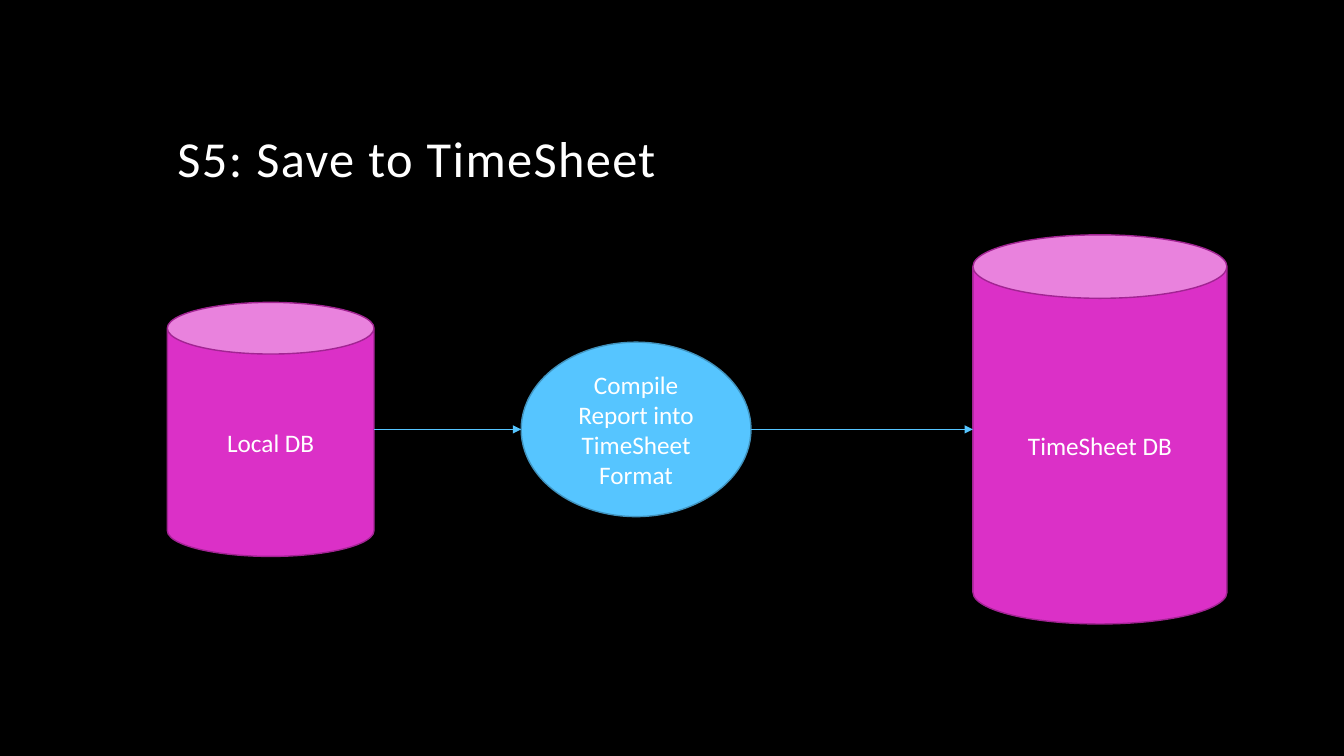
from dataclasses import dataclass
from itertools import pairwise

from pptx import Presentation
from pptx.dml.color import RGBColor
from pptx.enum.shapes import MSO_CONNECTOR, MSO_SHAPE
from pptx.enum.text import MSO_ANCHOR, MSO_AUTO_SIZE, PP_ALIGN
from pptx.oxml.ns import qn
from pptx.shapes.autoshape import Shape
from pptx.slide import Slide
from pptx.text.text import Font
from pptx.util import Inches, Pt
from lxml.etree import SubElement

BLACK = RGBColor(0x00, 0x00, 0x00)
WHITE = RGBColor(0xFF, 0xFF, 0xFF)
MAGENTA = RGBColor(0xDB, 0x30, 0xC7)
DARK_MAGENTA = RGBColor(0xA2, 0x24, 0x93)
SKY = RGBColor(0x56, 0xC5, 0xFF)
DARK_SKY = RGBColor(0x40, 0x92, 0xBD)

FONT_NAME = "Calibri"
SLIDE_WIDTH = Inches(13.33)
SLIDE_HEIGHT = Inches(7.5)
MARGIN = 12.45  # percent of the slide's width
FLOW_AXIS = 56.8  # percent of the slide's height


@dataclass(frozen=True)
class Step:
    """A stage of the flow, centred on its axis; lengths are slide percentages."""

    text: str
    kind: MSO_SHAPE
    left: float
    width: float
    height: float
    fill: RGBColor
    outline: RGBColor


STEPS = [
    Step("Local DB", MSO_SHAPE.CAN, MARGIN, 15.38, 33.6, MAGENTA, DARK_MAGENTA),
    Step("Compile Report into TimeSheet Format", MSO_SHAPE.OVAL,
         38.78, 17.1, 23.07, SKY, DARK_SKY),
    Step("TimeSheet DB", MSO_SHAPE.CAN, 72.39, 18.9, 51.47, MAGENTA, DARK_MAGENTA),
]


def across(percent: float) -> int:
    return round(SLIDE_WIDTH * percent / 100)


def down(percent: float) -> int:
    return round(SLIDE_HEIGHT * percent / 100)


def format_font(font: Font, size: float) -> None:
    font.name = FONT_NAME
    font.size = Pt(size)
    font.color.rgb = WHITE


def add_title(slide: Slide, text: str) -> None:
    title = slide.shapes.title
    title.left, title.top = across(MARGIN), down(5.6)
    title.width, title.height = across(75), down(20)
    frame = title.text_frame
    frame.word_wrap = True
    frame.auto_size = MSO_AUTO_SIZE.NONE
    frame.vertical_anchor = MSO_ANCHOR.BOTTOM
    paragraph = frame.paragraphs[0]
    paragraph.alignment = PP_ALIGN.LEFT
    paragraph.line_spacing = 0.9
    run = paragraph.add_run()
    run.text = text
    format_font(run.font, 36)
    run._r.get_or_add_rPr().set("spc", "100")


def add_step(slide: Slide, step: Step) -> Shape:
    shape = slide.shapes.add_shape(
        step.kind, across(step.left), down(FLOW_AXIS - step.height / 2),
        across(step.width), down(step.height))
    shape.shadow.inherit = False
    shape.fill.solid()
    shape.fill.fore_color.rgb = step.fill
    shape.line.color.rgb = step.outline
    shape.line.width = Pt(1)
    frame = shape.text_frame
    frame.word_wrap = True
    frame.vertical_anchor = MSO_ANCHOR.MIDDLE
    paragraph = frame.paragraphs[0]
    paragraph.alignment = PP_ALIGN.CENTER
    run = paragraph.add_run()
    run.text = step.text
    format_font(run.font, 18)
    return shape


def add_arrow(slide: Slide, source: Shape, target: Shape) -> None:
    """Draw an arrow along the flow axis between two neighbouring steps."""
    arrow = slide.shapes.add_connector(
        MSO_CONNECTOR.STRAIGHT, source.left + source.width, down(FLOW_AXIS),
        target.left, down(FLOW_AXIS))
    arrow.line.color.rgb = SKY
    arrow.line.width = Pt(0.5)
    SubElement(arrow.line._get_or_add_ln(), qn("a:tailEnd"), type="triangle")
    SubElement(arrow._element.spPr, qn("a:effectLst"))


def main() -> None:
    presentation = Presentation()
    presentation.slide_width = SLIDE_WIDTH
    presentation.slide_height = SLIDE_HEIGHT
    slide = presentation.slides.add_slide(
        presentation.slide_layouts.get_by_name("Title Only"))
    slide.background.fill.solid()
    slide.background.fill.fore_color.rgb = BLACK

    add_title(slide, "S5: Save to TimeSheet")
    shapes = [add_step(slide, step) for step in STEPS]
    for source, target in pairwise(shapes):
        add_arrow(slide, source, target)
    presentation.save("out.pptx")


if __name__ == "__main__":
    main()
